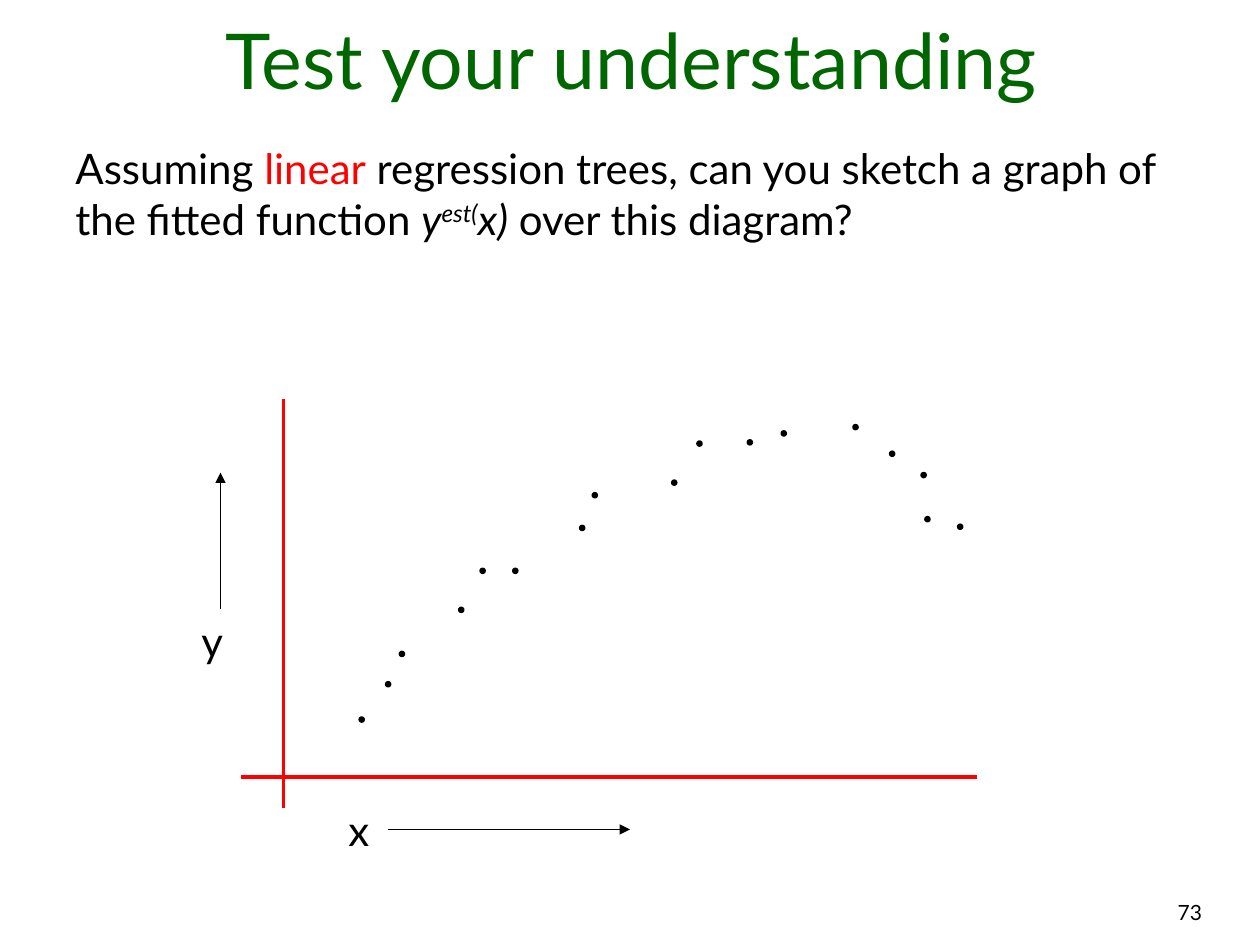
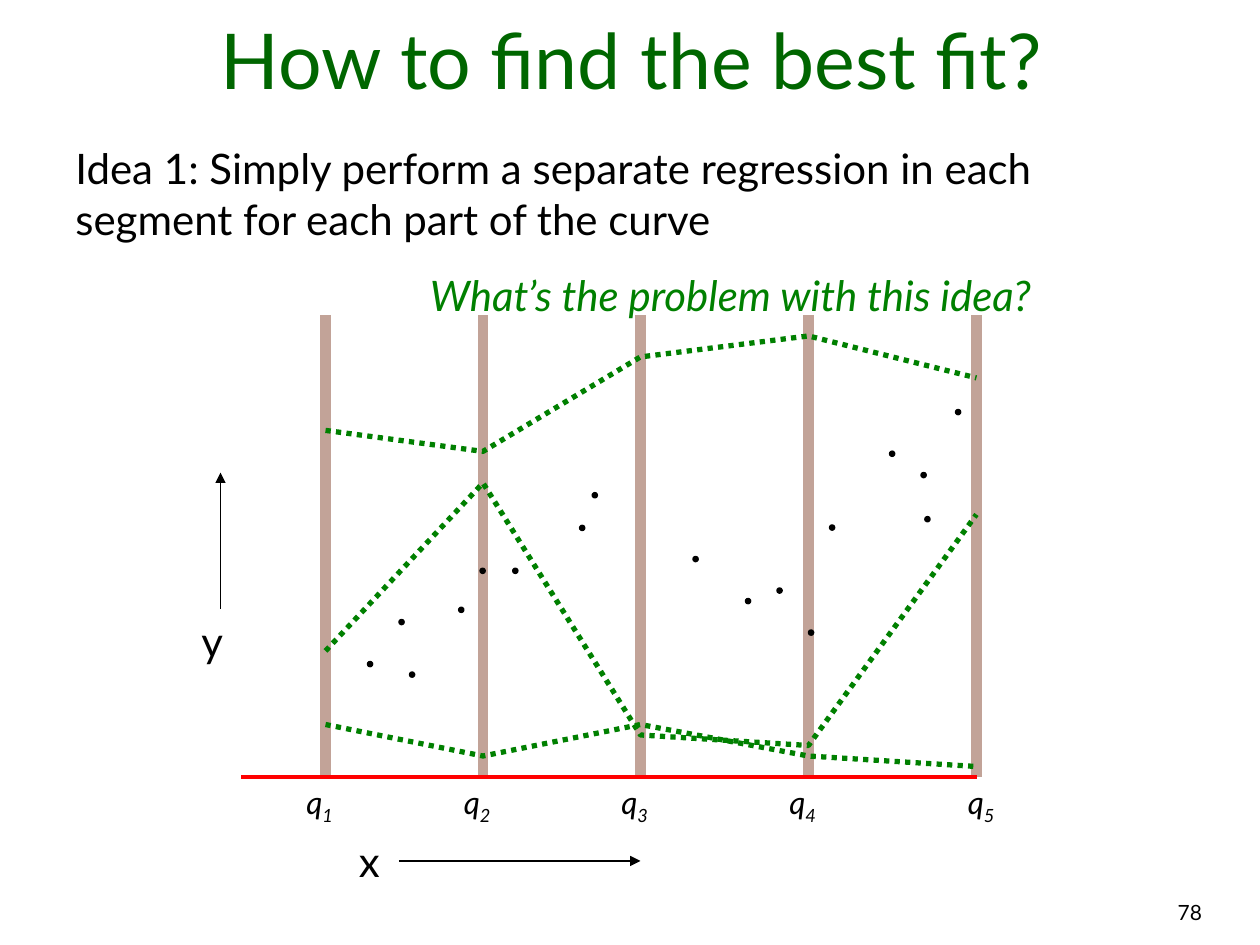
"""Build two slides on regression trees and piecewise linear fits."""
from lxml import etree
from pptx import Presentation
from pptx import util as u
from pptx.dml.color import RGBColor
from pptx.enum import dml, shapes, text
from pptx.oxml.ns import qn

COLORS = {"title": "006600", "ink": "000000", "axis": "FF0000", "knot": "C2A398", "fit": "008000"}
FONT = "Lato"
DOT = 3
AXIS_Y, AXIS_LEFT, AXIS_RIGHT = 444, 138, 558
KNOTS = [186, 276, 366, 462, 558]
KNOT_LABEL_LEFTS = [168, 258, 348, 444, 546]
FITS = [[372, 276, 420, 426, 294], [246, 258, 204, 192, 216], [414, 432, 414, 432, 438]]
SHARED_DOTS = [(508.3, 257.8), (331.2, 300.2), (262.1, 347), (293, 324.7),
               (528.5, 295.2), (338.4, 281.5), (274.3, 324.7), (526.3, 270)]

SLIDES = [
    {
        "title": "Test your understanding",
        "number": "73",
        "body": [[("Assuming ", {}), ("linear", {"color": "axis"}),
                  (" regression trees, can you sketch a graph of the fitted function ", {}),
                  ("y", {"italic": True}), ("est(", {"italic": True, "base": 30}),
                  ("x)", {"italic": True}), (" over this diagram?", {})]],
        "body_height": 65,
        "x_label": (192, 456),
        "x_arrow": (222, 474, 360, 474),
        "dots": [(228.2, 372.2), (205.2, 409.7), (547.2, 299.5), (427, 251.3), (487.4, 242.6),
                 (383.8, 274.3), (220.3, 389.5), (398.2, 252), (446.4, 246.2)],
        "segmented": False,
    },
    {
        "title": "How to find the best fit?",
        "number": "78",
        "body": [[("Idea 1: Simply perform a separate regression in each segment "
                   "for each part of the curve", {})],
                 [("What’s the problem with this idea?", {"color": "fit", "italic": True})]],
        "body_height": 109,
        "x_label": (198, 474),
        "x_arrow": (228, 492, 366, 492),
        "dots": [(228, 354), (234, 384), (546, 234), (474, 300), (462, 360),
                 (396, 318), (210, 378), (426, 342), (444, 336)],
        "segmented": True,
    },
]


def add_text(s, box, paragraphs, size=24, align=text.PP_ALIGN.LEFT, anchor=text.MSO_ANCHOR.TOP):
    tf = s.shapes.add_textbox(*map(u.Pt, box)).text_frame
    tf.word_wrap = True
    tf.vertical_anchor = anchor
    for i, runs in enumerate(paragraphs):
        p = tf.add_paragraph() if i else tf.paragraphs[0]
        p.alignment = align
        if i:
            p.space_before = u.Pt(15)
            p._p.get_or_add_pPr().set("marL", str(u.Pt(202.5)))
        p.font.size = u.Pt(size)
        p.font.name = FONT
        for words, style in runs:
            r = p.add_run()
            r.text = words
            r.font.size = u.Pt(size)
            r.font.name = FONT
            r.font.italic = style.get("italic", False)
            r.font.color.rgb = RGBColor.from_string(COLORS[style.get("color", "ink")])
            if "base" in style:
                r.font._element.set("baseline", str(style["base"] * 1000))


def add_line(s, ends, color, width, arrow=False):
    c = s.shapes.add_connector(shapes.MSO_CONNECTOR.STRAIGHT, *map(u.Pt, ends))
    c.line.color.rgb = RGBColor.from_string(COLORS[color])
    c.line.width = u.Pt(width)
    if arrow:
        etree.SubElement(c.line._get_or_add_ln(), qn("a:tailEnd"), type="triangle")
    etree.SubElement(c._element.spPr, qn("a:effectLst"))


prs = Presentation()
prs.slide_width, prs.slide_height = u.Pt(720), u.Pt(540)

for content in SLIDES:
    s = prs.slides.add_slide(prs.slide_layouts[6])
    add_text(s, (412, 510.5, 282, 24), [[(content["number"], {})]], 12, text.PP_ALIGN.RIGHT)
    add_text(s, (18, 12.25, 686, 51), [[(content["title"], {"color": "title"})]], 44,
             text.PP_ALIGN.CENTER, text.MSO_ANCHOR.BOTTOM)
    add_text(s, (36, 78, 636, content["body_height"]), content["body"])

    if content["segmented"]:
        for x in KNOTS:
            add_line(s, (x, AXIS_Y, x, 180), "knot", 6)
    else:
        add_line(s, (162, 228, 162, 462), "axis", 2.25)
    add_line(s, (AXIS_LEFT, AXIS_Y, AXIS_RIGHT, AXIS_Y), "axis", 2.25)

    add_text(s, (*content["x_label"], 36, 36), [[("x", {})]])
    add_line(s, content["x_arrow"], "ink", 1, arrow=True)
    add_text(s, (108, 348, 36, 36), [[("y", {})]])
    add_line(s, (126, 348, 126, 270), "ink", 1, arrow=True)

    for x, y in SHARED_DOTS + content["dots"]:
        sp = s.shapes.add_shape(shapes.MSO_SHAPE.OVAL, u.Pt(x), u.Pt(y), u.Pt(DOT), u.Pt(DOT))
        sp.shadow.inherit = False
        sp.fill.solid()
        sp.fill.fore_color.rgb = RGBColor.from_string(COLORS["ink"])
        sp.line.color.rgb = RGBColor.from_string(COLORS["ink"])
        sp.line.width = u.Pt(0.75)

    if content["segmented"]:
        for i, left in enumerate(KNOT_LABEL_LEFTS, 1):
            label = [("q", {"italic": True}), (str(i), {"italic": True, "base": -25})]
            add_text(s, (left, AXIS_Y, 36, 32), [label], 18)
        for heights in FITS:
            points = list(zip(KNOTS, heights))
            fb = s.shapes.build_freeform(*points[0], scale=u.Pt(1))
            fb.add_line_segments(points[1:], close=False)
            sp = fb.convert_to_shape()
            sp.shadow.inherit = False
            sp.fill.background()
            sp.line.color.rgb = RGBColor.from_string(COLORS["fit"])
            sp.line.width = u.Pt(3)
            sp.line.dash_style = dml.MSO_LINE.ROUND_DOT

prs.save("out.pptx")
